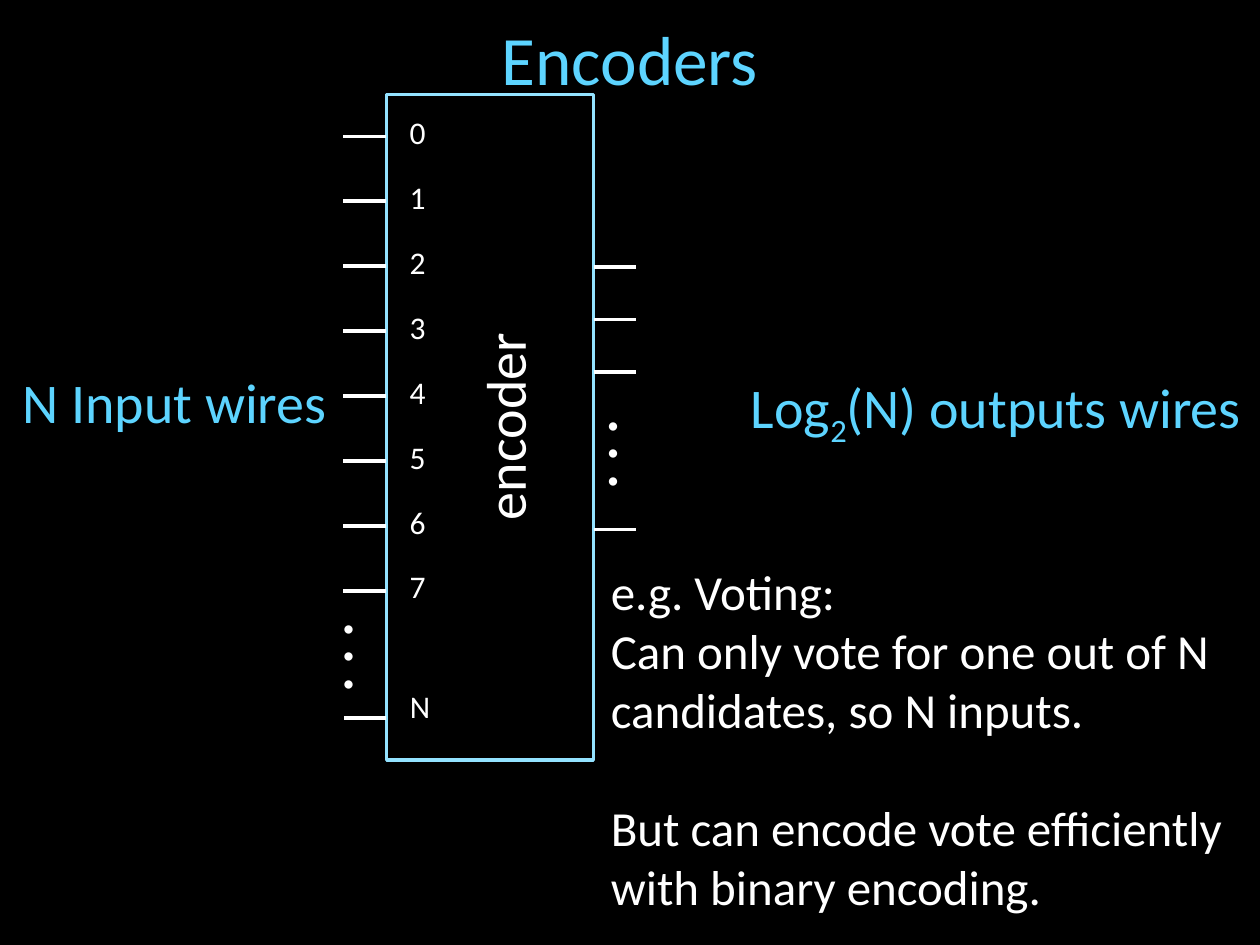
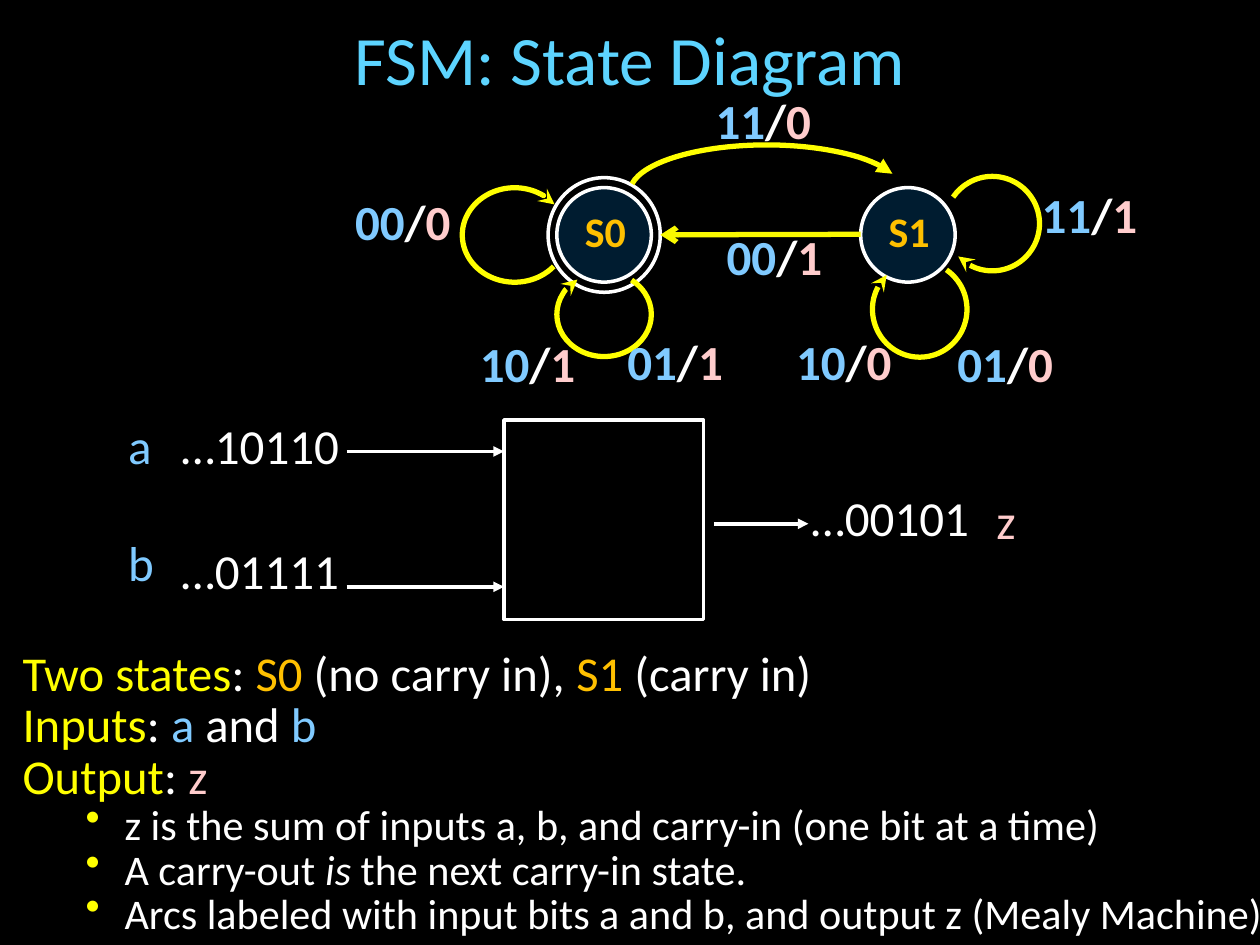
"""Build two slides on digital logic: encoders and a finite state machine."""
from lxml import etree
from pptx import Presentation
from pptx.dml.color import RGBColor
from pptx.enum import shapes, text
from pptx.oxml import ns
from pptx.util import Pt

BLACK = RGBColor(0x00, 0x00, 0x00)
WHITE = RGBColor(0xFF, 0xFF, 0xFF)
SKY = RGBColor(0x5D, 0xD4, 0xFF)
PALE_SKY = RGBColor(0x93, 0xE2, 0xFF)
NAVY = RGBColor(0x00, 0x38, 0x60)
AMBER = RGBColor(0xFF, 0xC0, 0x00)
YELLOW = RGBColor(0xFF, 0xFF, 0x00)
ARROW_YELLOW = RGBColor(0xF9, 0xF9, 0x00)
INPUT_BLUE = RGBColor(0x80, 0xCA, 0xFF)
OUTPUT_PINK = RGBColor(0xFF, 0xCC, 0xCC)

FONT = "Calibri"
CENTER = text.PP_ALIGN.CENTER
MIDDLE = text.MSO_ANCHOR.MIDDLE
OVAL = shapes.MSO_SHAPE.OVAL
RECTANGLE = shapes.MSO_SHAPE.RECTANGLE


def points(*lengths):
    """Convert numbers to lengths in points."""
    return [Pt(length) for length in lengths]


def add_element(parent, tag, **attributes):
    """Append a DrawingML element to a parent."""
    return etree.SubElement(parent, ns.qn(tag), **attributes)


def write(paragraph, runs, size, bold=False):
    """Add (words, colour) runs to a paragraph and return them."""
    written = []
    for words, color in runs:
        run = paragraph.add_run()
        run.text = words
        run.font.name = FONT
        run.font.size = Pt(size)
        run.font.bold = bold
        run.font.color.rgb = color
        written.append(run)
    return written


def add_title(prs, words):
    """Add a title-only slide and style its title."""
    slide = prs.slides.add_slide(prs.slide_layouts[5])
    title = slide.shapes.title
    title.left, title.top, title.width, title.height = points(18, 12.24, 684, 41.76)
    frame = title.text_frame
    frame.margin_left = frame.margin_right = frame.margin_top = frame.margin_bottom = 0
    frame.vertical_anchor = MIDDLE
    frame.auto_size = text.MSO_AUTO_SIZE.NONE
    frame.paragraphs[0].alignment = CENTER
    write(frame.paragraphs[0], [(words, SKY)], 39.6)
    return slide


def add_frame(slide, box, wrap=True, grow=False, rotation=0):
    """Add a text box and return its text frame."""
    textbox = slide.shapes.add_textbox(*points(*box))
    textbox.rotation = rotation
    frame = textbox.text_frame
    frame.word_wrap = wrap
    if grow:
        frame.auto_size = text.MSO_AUTO_SIZE.SHAPE_TO_FIT_TEXT
    return frame


def add_caption(slide, box, runs, size):
    """Add one line of text that does not wrap and return its runs."""
    frame = add_frame(slide, box, wrap=False, grow=True)
    return write(frame.paragraphs[0], runs, size)


def add_pin_text(slide, box, words, size=18, rotation=0, wrap=True, bold=False):
    """Add centred white text on or beside the encoder."""
    frame = add_frame(slide, box, wrap, True, rotation)
    paragraph = frame.paragraphs[0]
    paragraph.alignment = CENTER
    paragraph.line_spacing = 1.16
    write(paragraph, [(words, WHITE)], size, bold)


def add_outline(slide, kind, box, color=WHITE, width=2):
    """Add an unfilled preset shape."""
    shape = slide.shapes.add_shape(kind, *points(*box))
    shape.shadow.inherit = False
    shape.fill.background()
    shape.line.color.rgb = color
    shape.line.width = Pt(width)
    return shape


def add_arrowhead(shape, kind):
    """Put an arrowhead at the end of a line or arc."""
    add_element(shape.line._get_or_add_ln(), "a:tailEnd", type=kind)


def add_wire(slide, start, end, color=WHITE, width=2, arrow=None):
    """Draw a straight line, with an arrowhead if asked."""
    wire = slide.shapes.add_connector(shapes.MSO_CONNECTOR.STRAIGHT, *points(*start, *end))
    wire.line.color.rgb = color
    wire.line.width = Pt(width)
    if arrow:
        add_arrowhead(wire, arrow)
    add_element(wire._element.spPr, "a:effectLst")


def add_state(slide, left, name):
    """Draw one state circle with its name."""
    circle = add_outline(slide, OVAL, (left, 107.2, 54, 54))
    circle.fill.solid()
    circle.fill.fore_color.rgb = NAVY
    tint = circle._element.spPr.find(ns.qn("a:solidFill"))[0]
    add_element(tint, "a:alpha", val="50000")
    frame = add_frame(slide, (left + 0.7, 121.4, 54, 27.4))
    frame.vertical_anchor = MIDDLE
    paragraph = frame.paragraphs[0]
    paragraph.alignment = CENTER
    paragraph.line_spacing = 0.7
    write(paragraph, [(name, AMBER)], 24, bold=True)


def add_transition(slide, box, angles, rotation=0, arrow="stealth"):
    """Draw a curved transition arrow."""
    arc = add_outline(slide, shapes.MSO_SHAPE.ARC, box, YELLOW, 3)
    arc.adjustments[0], arc.adjustments[1] = angles
    arc.rotation = rotation
    add_arrowhead(arc, arrow)


def add_transition_label(slide, left, top, bits, output):
    """Label a transition with its input bits and output bit."""
    frame = add_frame(slide, (left, top, 84, 28.8))
    runs = [(bits, INPUT_BLUE), ("/", WHITE), (output, OUTPUT_PINK)]
    write(frame.paragraphs[0], runs, 28, bold=True)


def add_bullet(paragraph):
    """Indent a paragraph and give it a yellow bullet."""
    paragraph.level = 1
    properties = paragraph._p.get_or_add_pPr()
    properties.set("marL", str(Pt(58.3)))
    properties.set("indent", str(Pt(-22.3)))
    add_element(add_element(properties, "a:buClr"), "a:srgbClr", val=str(YELLOW))
    add_element(properties, "a:buChar", char="•")


def add_summary(slide):
    """List the states, inputs and output of the machine."""
    facts = [
        [("Two states", YELLOW), (": ", WHITE), ("S0", AMBER), (" (no carry in), ", WHITE),
         ("S1", AMBER), (" (carry in)", WHITE)],
        [("Inputs", YELLOW), (": ", WHITE), ("a", INPUT_BLUE), (" and ", WHITE), ("b", INPUT_BLUE)],
        [("Output", YELLOW), (": ", WHITE), ("z", OUTPUT_PINK)],
    ]
    details = [
        ["z is the sum of inputs a, b, and carry-in (one bit at a time)"],
        ["A carry-out ", "is", " the next carry-in state."],
        ["Arcs labeled with input bits a and b, and output z (Mealy Machine)"],
    ]
    frame = add_frame(slide, (5.8, 372.2, 732.2, 180))
    for index, runs in enumerate(facts):
        paragraph = frame.add_paragraph() if index else frame.paragraphs[0]
        paragraph.line_spacing = 0.72
        if index:
            paragraph.space_before = Pt(5.5)
        write(paragraph, runs, 27.8)
    for pieces in details:
        paragraph = frame.add_paragraph()
        paragraph.line_spacing = 0.72
        paragraph.space_before = Pt(4.8)
        add_bullet(paragraph)
        for run in write(paragraph, [(piece, WHITE) for piece in pieces], 24.1):
            run.font.italic = run.text == "is"


def add_voting_example(slide):
    """Explain the encoder with a voting example."""
    lines = ["e.g. Voting:", "Can only vote for one out of N", "candidates, so N inputs.",
             "But can encode vote efficiently", "with binary encoding."]
    frame = add_frame(slide, (342, 317.5, 374.4, 211), wrap=False, grow=True)
    for index, line in enumerate(lines):
        paragraph = frame.add_paragraph() if index else frame.paragraphs[0]
        if line.startswith("But"):
            paragraph.space_before = Pt(34)
        write(paragraph, [(line, WHITE)], 28)


def build_encoders(prs):
    """Build the slide with the encoder block."""
    slide = add_title(prs, "Encoders")
    add_outline(slide, RECTANGLE, (221, 54, 118.1, 380.2), PALE_SKY)
    for pin in range(8):
        drop = 37.1 * pin
        add_wire(slide, (220.4, 77.9 + drop), (196, 77.9 + drop))
        add_pin_text(slide, (225.4, 57.6 + drop, 26.6, 41), str(pin))
    add_wire(slide, (220.4, 410.4), (196.4, 410.4))
    add_pin_text(slide, (226.8, 385.9, 26.6, 38.9), "N")
    for slot in (0, 1, 2, 5):
        level = 152.5 + 30 * slot
        add_wire(slide, (339.3, level), (363.7, level))
    add_pin_text(slide, (222.5, 218.9, 122.4, 49.7), "encoder", 32, 270, wrap=False)
    for left, top in ((328.3, 233.3), (177.1, 349.2)):
        add_pin_text(slide, (left, top, 70.6, 52.6), ". . .", 32, 90, bold=True)
    output_runs = add_caption(slide, (421.9, 209.5, 298.8, 46.1),
                              [("Log", SKY), ("2", SKY), ("(N) outputs wires", SKY)], 32)
    output_runs[1].font._element.set("baseline", "-25000")
    add_caption(slide, (5.8, 206.6, 190, 46.1), [("N Input wires", SKY)], 32)
    add_voting_example(slide)


def build_state_diagram(prs):
    """Build the slide with the state diagram of a serial adder."""
    slide = add_title(prs, "FSM: State Diagram")
    add_state(slide, 318.2, "S0")
    add_outline(slide, OVAL, (313.2, 101.5, 64.1, 65.5))
    add_state(slide, 491.8, "S1")

    wide_loop, tall_loop = (23.26, 193.55), (128.44, 81.57)
    add_transition(slide, (360, 82.8, 156.2, 54), (110.12, 211.01), arrow="triangle")
    add_transition(slide, (264.2, 107.3, 59.8, 54), wide_loop)
    add_transition(slide, (540, 100.8, 54, 54), tall_loop)
    add_transition(slide, (498.2, 149.8, 54.7, 54), tall_loop, 90)
    add_transition(slide, (321.1, 152.6, 48.2, 54), wide_loop, 270)
    add_wire(slide, (491.8, 133.9), (377.3, 134.2), ARROW_YELLOW, 3, "arrow")

    for left, top, bits, output in (
        (195.8, 105.8, "00", "0"), (588.2, 102.2, "11", "1"),
        (540, 187.2, "01", "0"), (401.8, 48.2, "11", "0"),
        (447.8, 185.8, "10", "0"), (267.1, 187.2, "10", "1"),
        (408.2, 126, "00", "1"), (351.4, 185.8, "01", "1"),
    ):
        add_transition_label(slide, left, top, bits, output)

    add_summary(slide)
    add_outline(slide, RECTANGLE, (288, 240, 114, 114))
    for start, end, level in ((198, 288, 258), (198, 288, 335.3), (408, 462, 299.3)):
        add_wire(slide, (start, level), (end, level), arrow="triangle")
    for left, top, width, words, color in (
        (96.5, 234, 105.8, "…10110", WHITE), (96.5, 305.3, 105.8, "…01111", WHITE),
        (456.5, 275, 105.8, "…00101", WHITE), (66.2, 234, 28.1, "a", INPUT_BLUE),
        (66.2, 301, 29.5, "b", INPUT_BLUE), (562.3, 276.5, 25.9, "z", OUTPUT_PINK),
    ):
        add_caption(slide, (left, top, width, 41), [(words, color)], 28)


def main():
    """Build and save the presentation."""
    prs = Presentation()
    prs.slide_width, prs.slide_height = points(720, 540)
    backdrop = prs.slide_master.background.fill
    backdrop.solid()
    backdrop.fore_color.rgb = BLACK
    build_encoders(prs)
    build_state_diagram(prs)
    prs.save("out.pptx")


if __name__ == "__main__":
    main()
